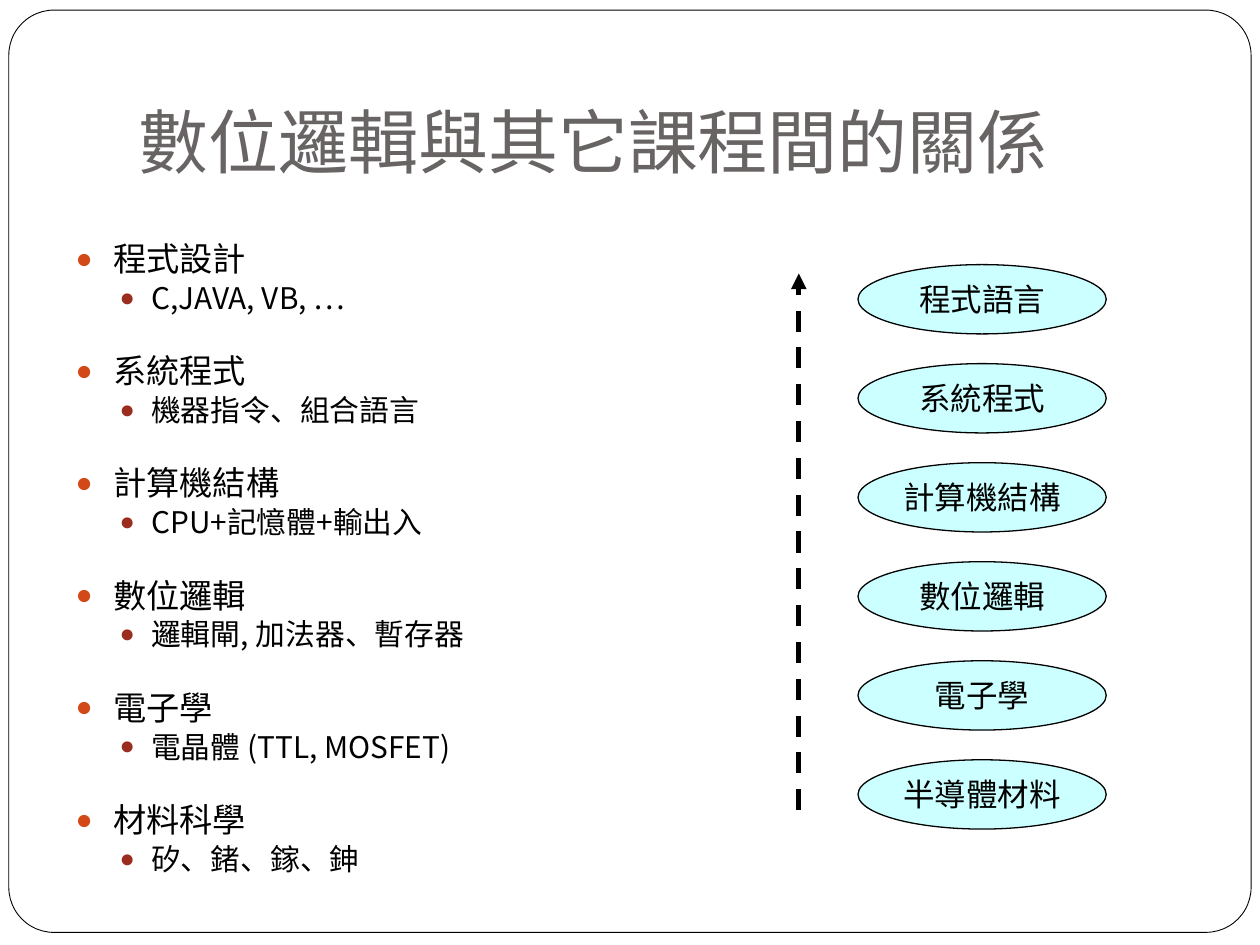
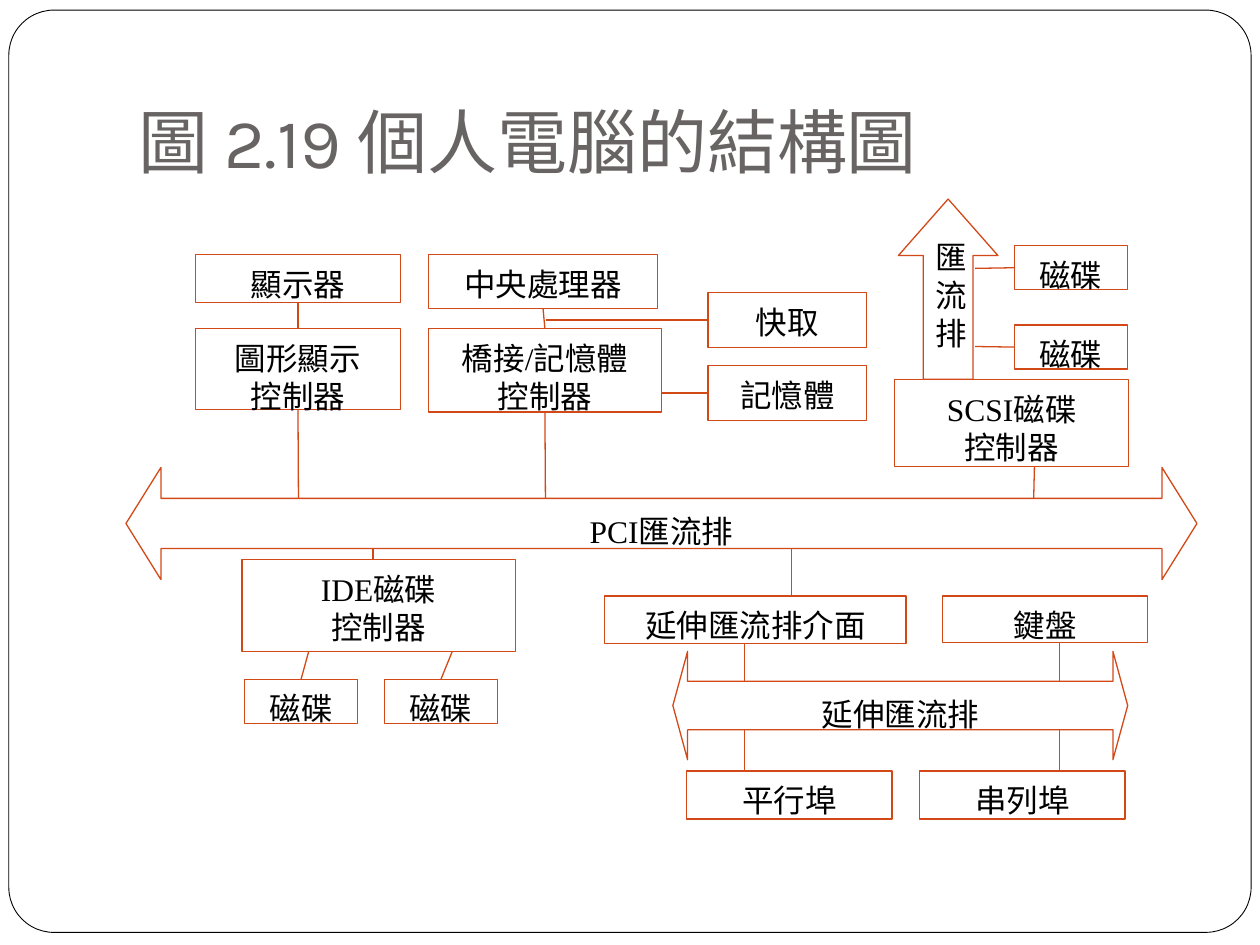
"""Build two slides: how digital logic relates to other courses, and the structure of a PC."""
from dataclasses import dataclass

from lxml import etree
from pptx import Presentation
from pptx import util as u
from pptx.dml import color
from pptx.enum import dml, shapes, text
from pptx.oxml.ns import qn


@dataclass(frozen=True)
class Theme:
    grey: str = "696464"
    black: str = "000000"
    white: str = "FFFFFF"
    orange: str = "D34817"
    red: str = "9B2D1F"
    aqua: str = "CCFFFF"
    cjk: str = "Noto Sans CJK SC"
    title_size: float = 40
    topic_size: float = 19
    detail_size: float = 17
    label_size: float = 18


theme = Theme()
rgb = color.RGBColor.from_string
LEFT, CENTER = text.PP_ALIGN.LEFT, text.PP_ALIGN.CENTER
RECT = shapes.MSO_SHAPE.RECTANGLE
BUS = shapes.MSO_SHAPE.LEFT_RIGHT_ARROW


def write(paragraph, content, *, size, face=theme.cjk, ink=theme.black, align=LEFT, leading=None, before=0):
    """Fill a paragraph and format its runs."""
    paragraph.text = content
    paragraph.alignment = align
    paragraph.space_before = u.Pt(before)
    if leading:
        paragraph.line_spacing = u.Pt(leading)
    for run in paragraph.runs:
        run.font.size = u.Pt(size)
        run.font.name = face
        run.font.color.rgb = rgb(ink)
        etree.SubElement(run.font._element, qn("a:ea")).set("typeface", theme.cjk)


def outline(shape, line, weight=0.75, fill=None):
    """Give a shape or connector its line, its fill and no shadow."""
    shape.line.color.rgb = rgb(line)
    shape.line.width = u.Pt(weight)
    if isinstance(shape, shapes_connector):
        etree.SubElement(shape.element.spPr, qn("a:effectLst"))
        return
    shape.shadow.inherit = False
    if fill:
        shape.fill.solid()
        shape.fill.fore_color.rgb = rgb(fill)
    else:
        shape.fill.background()


from pptx.shapes.connector import Connector as shapes_connector

deck = Presentation()
deck.slide_width, deck.slide_height = u.Inches(10), u.Inches(7.5)
courses = deck.slides.add_slide(deck.slide_layouts[1])
computer = deck.slides.add_slide(deck.slide_layouts[5])

border = courses.shapes.add_shape(
    shapes.MSO_SHAPE.ROUNDED_RECTANGLE, u.Inches(0.07), u.Inches(0.08), u.Inches(9.86), u.Inches(7.32))
border.adjustments[0] = 0.049
outline(border, theme.black, 0.5)
deck.slide_master.element.cSld.spTree.insert(2, border.element)

headings = [(courses, "數位邏輯與其它課程間的關係", theme.cjk),
            (computer, "圖 2.19 個人電腦的結構圖", "Karla")]
for slide, heading, face in headings:
    title = slide.shapes.title
    title.left, title.top, title.width, title.height = map(u.Inches, (1, 0.3, 8.5, 1.25))
    title.text_frame.auto_size = text.MSO_AUTO_SIZE.NONE
    title.text_frame.vertical_anchor = text.MSO_ANCHOR.BOTTOM
    title.text_frame.margin_bottom = u.Inches(0.1)
    write(title.text_frame.paragraphs[0], heading, size=theme.title_size, face=face, ink=theme.grey)

topics = [
    ("程式設計", "C,JAVA, VB, …"),
    ("系統程式", "機器指令、組合語言"),
    ("計算機結構", "CPU+記憶體+輸出入"),
    ("數位邏輯", "邏輯閘, 加法器、暫存器"),
    ("電子學", "電晶體 (TTL, MOSFET)"),
    ("材料科學", "矽、鍺、鎵、鉮"),
]
outline_body = courses.placeholders[1]
outline_body.left, outline_body.top, outline_body.width, outline_body.height = map(
    u.Inches, (0.5, 1.88, 6.07, 5.26))
body_text = outline_body.text_frame
body_text.auto_size = text.MSO_AUTO_SIZE.NONE
for number, (topic, detail) in enumerate(topics):
    levels = [(topic, theme.topic_size, 20, 22.9 if number else 0, 0.3, -0.3, theme.orange),
              (detail, theme.detail_size, 18, 3.2, 0.6, -0.25, theme.red)]
    for level, (content, size, leading, before, margin, indent, dot) in enumerate(levels):
        first = number == 0 and level == 0
        paragraph = body_text.paragraphs[0] if first else body_text.add_paragraph()
        paragraph.level = level
        write(paragraph, content, size=size, leading=leading, before=before)
        props = paragraph._p.get_or_add_pPr()
        props.set("marL", str(u.Inches(margin)))
        props.set("indent", str(u.Inches(indent)))
        tint = etree.SubElement(props, qn("a:buClr"))
        etree.SubElement(tint, qn("a:srgbClr")).set("val", dot)
        etree.SubElement(props, qn("a:buSzPct")).set("val", "85000")
        etree.SubElement(props, qn("a:buFont")).set("typeface", "Arial")
        etree.SubElement(props, qn("a:buChar")).set("char", "●")

layers = ["程式語言", "系統程式", "計算機結構", "數位邏輯", "電子學", "半導體材料"]
layer_top, layer_pitch = 2.1, (6.03 - 2.1) / (len(layers) - 1)
for number, layer in enumerate(layers):
    oval = courses.shapes.add_shape(
        shapes.MSO_SHAPE.OVAL, u.Inches(6.81), u.Inches(layer_top + number * layer_pitch),
        u.Inches(1.97), u.Inches(0.55))
    outline(oval, theme.black, fill=theme.aqua)
    oval.text_frame.word_wrap = False
    oval.text_frame.vertical_anchor = text.MSO_ANCHOR.MIDDLE
    write(oval.text_frame.paragraphs[0], layer, size=theme.label_size, face="Arial", align=CENTER)

upward = courses.shapes.add_connector(
    shapes.MSO_CONNECTOR.STRAIGHT, u.Inches(6.34), u.Inches(6.43), u.Inches(6.34), u.Inches(2.17))
outline(upward, theme.black, 3)
upward.line.dash_style = dml.MSO_LINE.DASH
etree.SubElement(upward.line._get_or_add_ln(), qn("a:tailEnd")).set("type", "triangle")

units = {
    "graphics": ("圖形顯示\n控制器", 1.55, 2.61, 1.63, 0.64),
    "monitor": ("顯示器", 1.55, 2.02, 1.63, 0.38),
    "bridge": ("橋接/記憶體\n控制器", 3.4, 2.61, 1.85, 0.66),
    "cpu": ("中央處理器", 3.4, 2.02, 1.82, 0.43),
    "cache": ("快取", 5.62, 2.32, 1.26, 0.44),
    "memory": ("記憶體", 5.62, 2.9, 1.26, 0.44),
    "ide": ("IDE磁碟\n控制器", 1.92, 4.44, 2.17, 0.73),
    "scsi": ("SCSI磁碟\n控制器", 7.1, 3.01, 1.86, 0.69),
    "extension": ("延伸匯流排介面", 4.8, 4.73, 2.39, 0.38),
    "keyboard": ("鍵盤", 7.48, 4.73, 1.63, 0.37),
    "parallel": ("平行埠", 5.45, 6.12, 1.63, 0.38),
    "serial": ("串列埠", 7.3, 6.12, 1.63, 0.38),
    "scsi disk 1": ("磁碟", 8.05, 1.95, 0.9, 0.35),
    "scsi disk 2": ("磁碟", 8.05, 2.58, 0.9, 0.35),
    "ide disk 1": ("磁碟", 1.94, 5.39, 0.9, 0.35),
    "ide disk 2": ("磁碟", 3.05, 5.39, 0.9, 0.35),
}
parts = [(name, RECT, (), None, 0.08, *unit) for name, unit in units.items()]
parts += [
    ("scsi bus", shapes.MSO_SHAPE.UP_ARROW, (0.5, 0.568), None, 0.08, "匯流排", 7.13, 1.58, 0.79, 1.43),
    ("pci bus", BUS, (0.448, 0.312), theme.white, 0.11, "PCI匯流排", 1, 3.71, 8.5, 0.89),
    ("extension bus", BUS, (0.448, 0.136), theme.white, 0.11, "延伸匯流排", 5.34, 5.17, 3.61, 0.86),
]
placed = {}
for name, preset, adjustments, fill, inset, label, *box in parts:
    part = computer.shapes.add_shape(preset, *map(u.Inches, box))
    for index, value in enumerate(adjustments):
        part.adjustments[index] = value
    outline(part, theme.orange, fill=fill)
    part.text_frame.word_wrap = True
    part.text_frame.vertical_anchor = text.MSO_ANCHOR.TOP
    part.text_frame.margin_top = u.Inches(inset)
    write(part.text_frame.paragraphs[0], label, size=theme.label_size, face="Times New Roman",
          align=CENTER, leading=21.7)
    placed[name] = part

TOP, WEST, BOTTOM = 0, 1, 2
wires = [
    (("graphics", TOP), ("monitor", BOTTOM)),
    (("bridge", TOP), ("cpu", BOTTOM)),
    ((4.33, 2.54), ("cache", WEST)),
    ((5.25, 3.12), ("memory", WEST)),
    (("bridge", BOTTOM), (4.33, 4.14)),
    (("graphics", BOTTOM), (2.37, 4.14)),
    ((8.21, 3.7), (8.2, 4.14)),
    ((2.96, 4.44), (2.96, 4.14)),
    ((6.28, 4.14), (6.28, 4.73)),
    ((5.91, 5.1), (5.91, 6.12)),
    ((8.41, 5.1), (8.41, 6.12)),
    ((2.45, 5.17), ("ide disk 1", TOP)),
    ((3.59, 5.17), ("ide disk 2", TOP)),
    ((7.74, 2.13), ("scsi disk 1", WEST)),
    ((7.74, 2.75), ("scsi disk 2", WEST)),
]
for start, end in wires:
    points = [(0, 0) if isinstance(tip[0], str) else tip for tip in (start, end)]
    wire = computer.shapes.add_connector(
        shapes.MSO_CONNECTOR.STRAIGHT, *(u.Inches(value) for point in points for value in point))
    for tip, join in ((start, wire.begin_connect), (end, wire.end_connect)):
        if isinstance(tip[0], str):
            join(placed[tip[0]], tip[1])
    outline(wire, theme.orange)
    placed["pci bus"].element.addprevious(wire.element)

deck.save("out.pptx")
